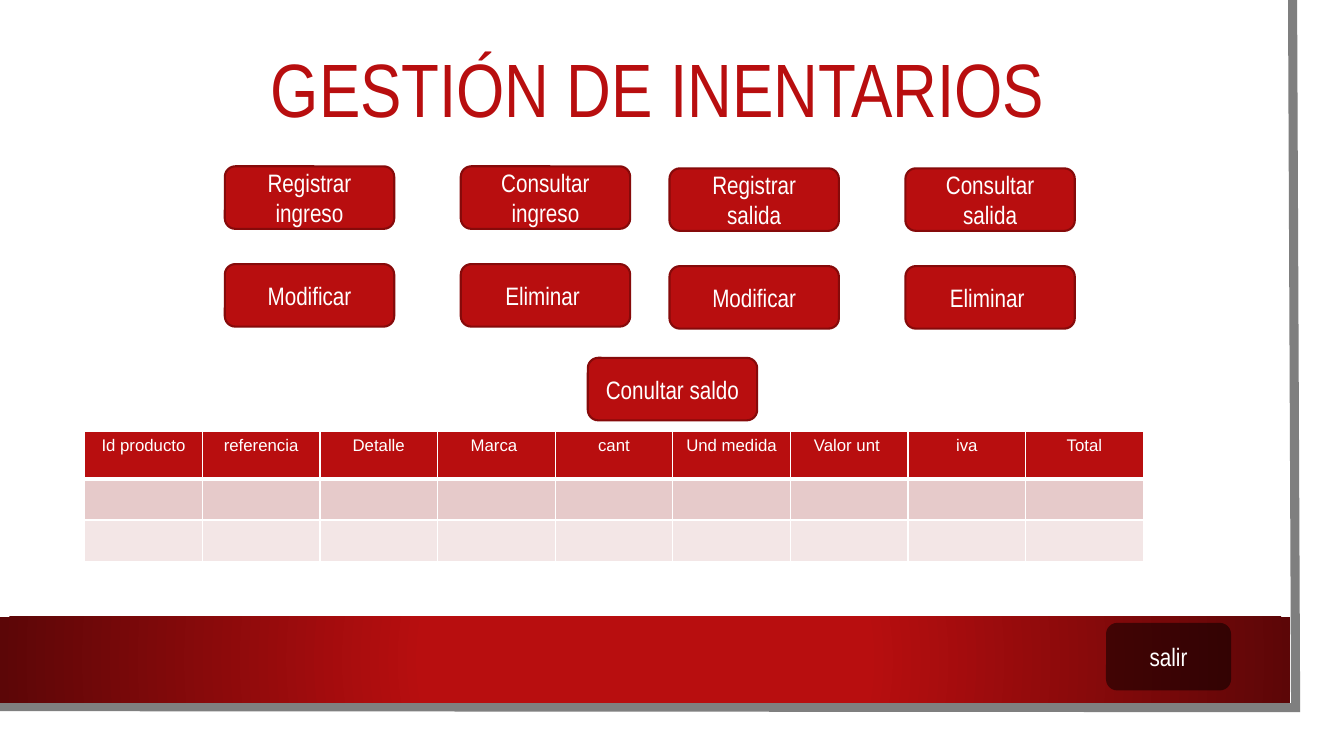
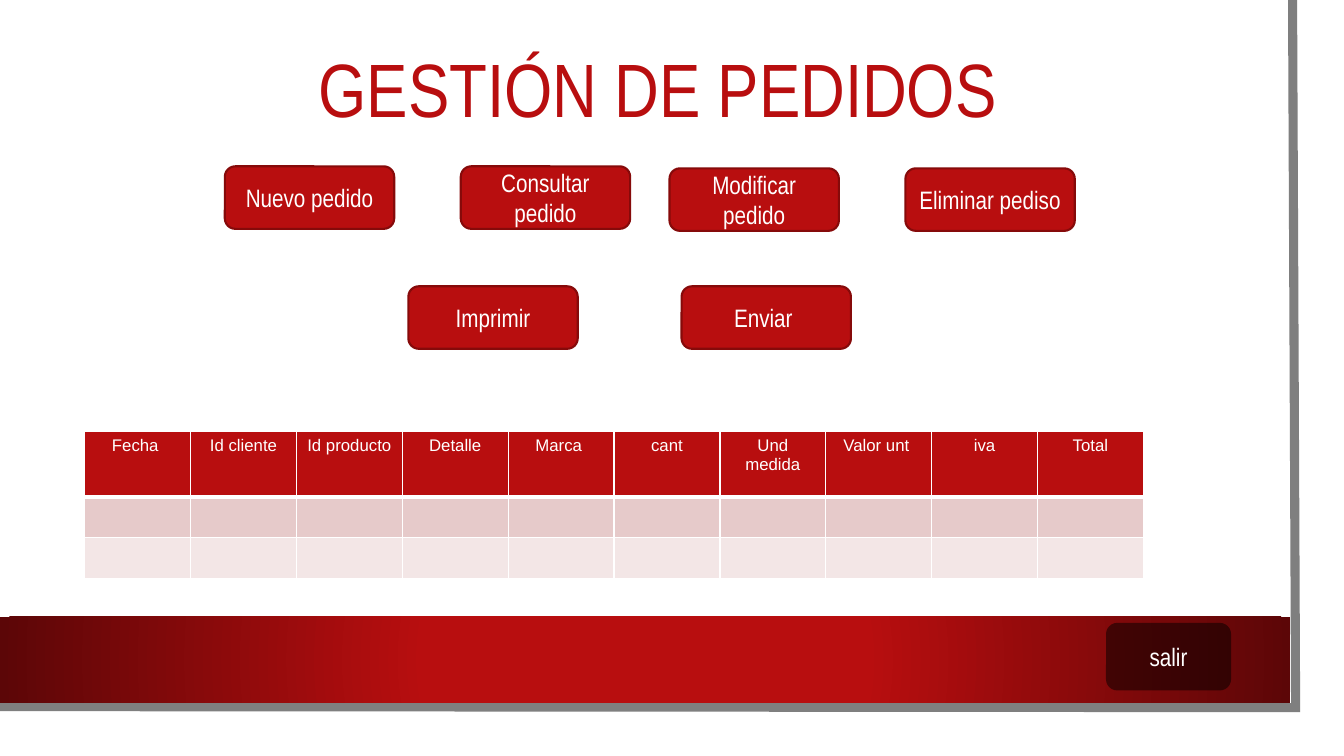
"""Build the stock and order management screens."""
from pptx import Presentation
from pptx import util as u
from pptx.dml.color import RGBColor
from pptx.enum import shapes, text
from pptx.oxml import parse_xml
from pptx.oxml.ns import nsdecls, qn

HUE = {"red": "B80E0F", "edge": "860A0A", "dark": "5C0607", "gray": "7F7F7F",
       "white": "FFFFFF", "black": "000000", "band": "E6CACA", "pale": "F3E6E6"}
FACE = "Arial Narrow"
LEFT, WIDE = 0.84, 10.5
LOW, HIGH = 1.65, 1.67
STEP, DROP = 2.34, 0.97
COLS = [2.23, 2.23 + STEP, 6.64, 6.64 + STEP]
TOPS = [LOW, LOW, HIGH, HIGH]


def style(para, size, face, hue):
    para.alignment = text.PP_ALIGN.CENTER
    para.font.size = u.Pt(size)
    para.font.name = face
    para.font.bold = False
    para.font.color.rgb = RGBColor.from_string(HUE[hue])


def button(slide, label, x, y, w=1.68, h=0.62):
    box = slide.shapes.add_shape(shapes.MSO_SHAPE.ROUNDED_RECTANGLE,
                                 u.Inches(x), u.Inches(y), u.Inches(w), u.Inches(h))
    box.shadow.inherit = False
    box.fill.solid()
    box.fill.fore_color.rgb = RGBColor.from_string(HUE["red"])
    box.line.color.rgb = RGBColor.from_string(HUE["edge"])
    box.line.width = u.Pt(1.5)
    box.text_frame.text = label
    box.text_frame.vertical_anchor = text.MSO_ANCHOR.MIDDLE
    style(box.text_frame.paragraphs[0], 18, FACE, "white")
    return box


PAGES = [
    {"title": "GESTIÓN DE INENTARIOS",
     "top": ["Registrar ingreso", "Consultar ingreso", "Registrar salida", "Consultar salida"],
     "more": [(label, x, y + DROP) for label, x, y in
              zip(["Modificar", "Eliminar "] * 2, COLS, TOPS)]
             + [("Conultar saldo", 5.83, 3.55)],
     "heads": ["Id producto", "referencia", "Detalle", "Marca ", "cant",
               "Und medida", "Valor unt ", "iva", "Total"],
     "rows": [0.47, 0.41, 0.41]},
    {"title": "GESTIÓN DE PEDIDOS",
     "top": ["Nuevo pedido", "Consultar pedido", "Modificar pedido", "Eliminar pediso"],
     "more": [("Imprimir", 4.05, 2.84), ("Enviar ", 6.76, 2.84)],
     "heads": ["Fecha ", "Id cliente", "Id producto", "Detalle", "Marca ", "cant",
               "Und medida", "Valor unt ", "iva", "Total"],
     "rows": [0.65, 0.4, 0.4]},
]

deck = Presentation()
deck.slide_width, deck.slide_height = u.Inches(13.33), u.Inches(7.5)
layout = deck.slide_layouts[5]
slides = [deck.slides.add_slide(layout) for page in PAGES]

pen = slides[0].shapes.build_freeform(u.Inches(12.82), 0)
pen.add_line_segments([(u.Inches(12.85), u.Inches(7.02)),
                       (u.Inches(-0.03), u.Inches(7.01))], close=False)
frame = pen.convert_to_shape()
frame.shadow.inherit = False
frame.fill.background()
frame.line.color.rgb = RGBColor.from_string(HUE["gray"])
frame.line.width = u.Pt(6.5)
frame.line._get_or_add_ln().append(parse_xml(f'<a:miter {nsdecls("a")} lim="800000"/>'))

band = slides[0].shapes.add_shape(shapes.MSO_SHAPE.RECTANGLE, 0, u.Inches(6.12),
                                  u.Inches(12.8), u.Inches(0.85))
band.shadow.inherit = False
band.line.fill.background()
band.fill.background()
stops = "".join(f'<a:gs pos="{pos}"><a:srgbClr val="{HUE[hue]}"/></a:gs>'
                for pos, hue in [(0, "red"), (34000, "red"), (100000, "dark")])
props = band.element.spPr
props.replace(props.find(qn("a:noFill")), parse_xml(
    f'<a:gradFill {nsdecls("a")}><a:gsLst>{stops}</a:gsLst><a:path path="circle">'
    '<a:fillToRect l="50000" t="50000" r="50000" b="50000"/></a:path></a:gradFill>'))

for spot, part in enumerate([frame, band], 2):
    layout.shapes.element.insert(spot, part.element)

for slide, page in zip(slides, PAGES):
    title = slide.shapes.title
    title.left, title.top = u.Inches(LEFT), u.Inches(0.29)
    title.width, title.height = u.Inches(11.37), u.Inches(1.26)
    title.text_frame.text = page["title"]
    title.text_frame.vertical_anchor = text.MSO_ANCHOR.MIDDLE
    title.text_frame.paragraphs[0].line_spacing = 0.9
    style(title.text_frame.paragraphs[0], 54, FACE, "red")

    for label, x, y in list(zip(page["top"], COLS, TOPS)) + page["more"]:
        button(slide, label, x, y)

    heads, rows = page["heads"], page["rows"]
    grid = slide.shapes.add_table(len(rows), len(heads), u.Inches(LEFT), u.Inches(4.28),
                                  u.Inches(WIDE), u.Inches(sum(rows))).table
    for col in grid.columns:
        col.width = u.Inches(WIDE / len(heads))
    for r, (high, hue) in enumerate(zip(rows, ["red", "band", "pale"])):
        grid.rows[r].height = u.Inches(high)
        for c, head in enumerate(heads):
            cell = grid.cell(r, c)
            thick = {"L": 1, "R": 1, "T": 3 if r == 1 else 1, "B": 3 if r == 0 else 1}
            for side, size in thick.items():
                cell._tc.get_or_add_tcPr().append(parse_xml(
                    f'<a:ln{side} {nsdecls("a")} w="{u.Pt(size)}"><a:solidFill>'
                    f'<a:srgbClr val="{HUE["white"]}"/></a:solidFill></a:ln{side}>'))
            cell.fill.solid()
            cell.fill.fore_color.rgb = RGBColor.from_string(HUE[hue])
            if r == 0:
                cell.text = head
                style(cell.text_frame.paragraphs[0], 12, "Arial", "white")

    leave = button(slide, "salir", 10.97, 6.18, 1.24, 0.67)
    leave.line.fill.background()
    leave.fill.fore_color.rgb = RGBColor.from_string(HUE["black"])
    tone = leave.element.spPr.find(qn("a:solidFill"))[0]
    tone.append(parse_xml(f'<a:alpha {nsdecls("a")} val="50000"/>'))

deck.save("out.pptx")
